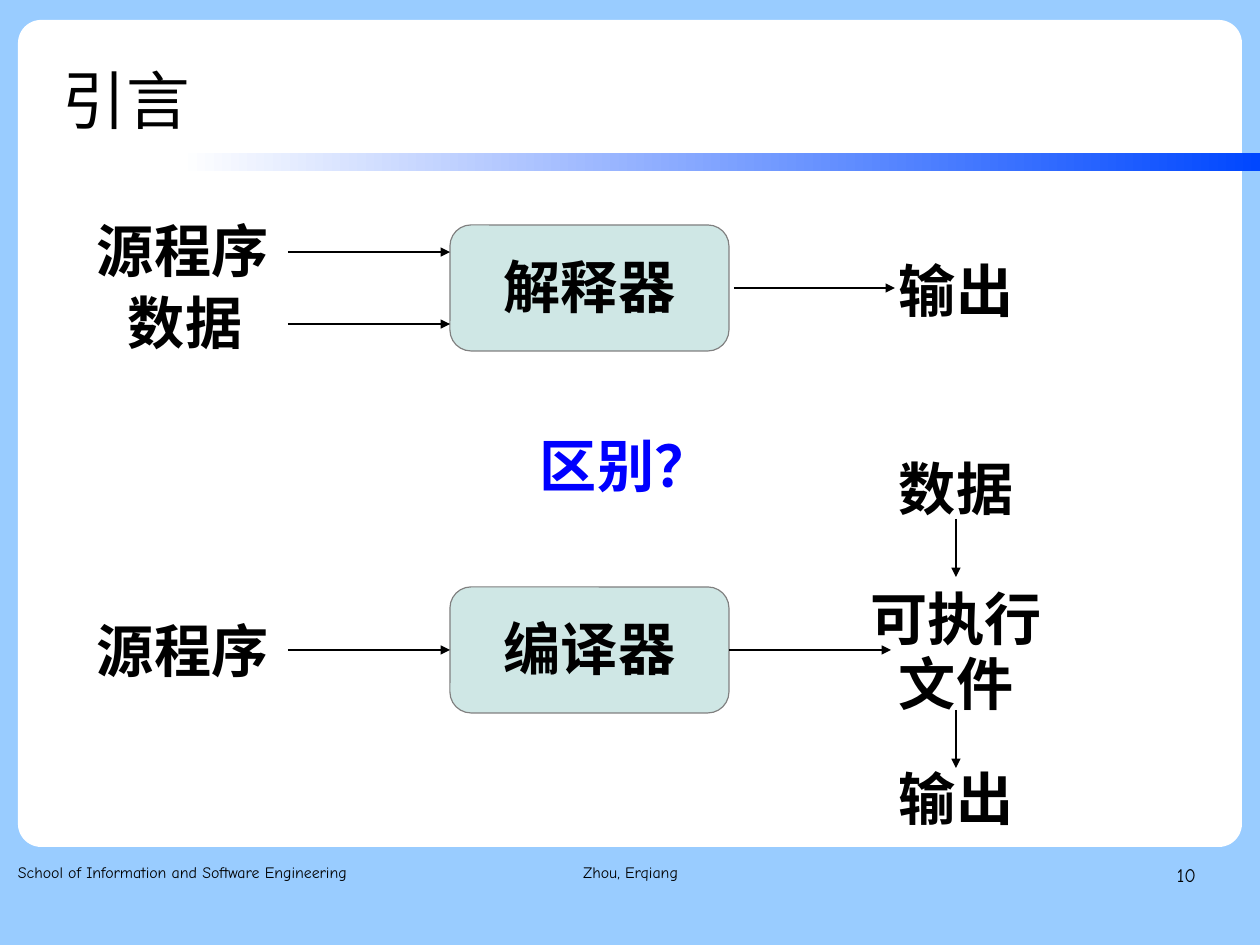
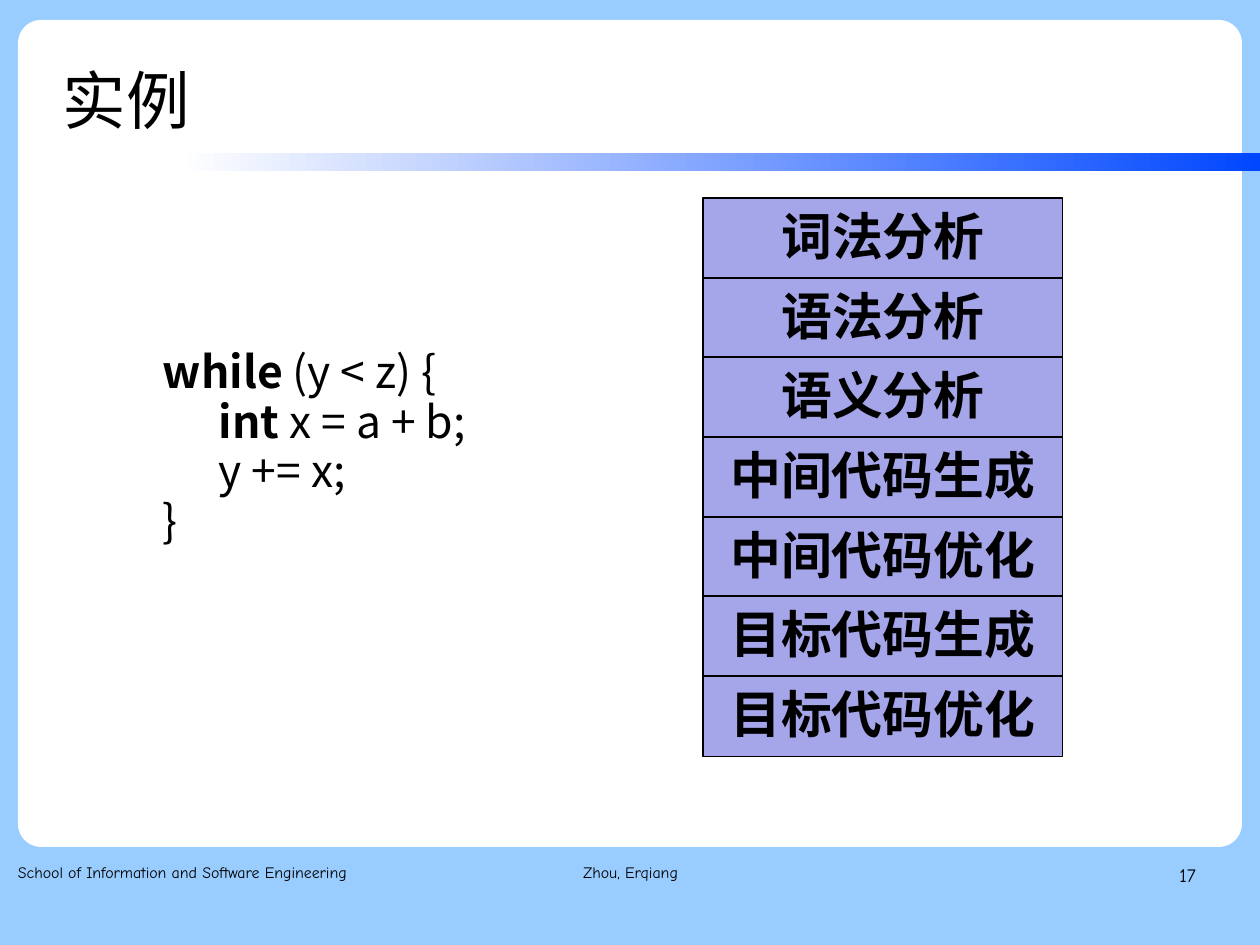
import lxml.etree
import pptx
import pptx.dml.color
import pptx.enum.shapes
import pptx.enum.text
import pptx.oxml.ns
import pptx.util

PX = 8000
HUES = {"sky": "99CCFF", "white": "FFFFFF", "blue": "0047FF", "black": "000000",
        "mint": "CFE7E5", "grey": "808080", "lilac": "A5A5E9", "query": "0000FF"}
HUES = {name: pptx.dml.color.RGBColor.from_string(code) for name, code in HUES.items()}
SANS = "Noto Sans CJK SC"
COMIC = "Comic Neue"
PAD = (11, 8, 11, 6)
EVEN = (11, 6, 11, 6)
FLUSH = (0, 0, 0, 0)
KIND = pptx.enum.shapes.MSO_SHAPE
LINK = pptx.enum.shapes.MSO_CONNECTOR.STRAIGHT
ALIGN = pptx.enum.text.PP_ALIGN
MIDDLE = pptx.enum.text.MSO_ANCHOR.MIDDLE
qn = pptx.oxml.ns.qn


def write(shape, lines, size, face=SANS, bold=False, hue="black", align=ALIGN.LEFT,
          lead=0.95, pad=PAD, wrap=False, anchor=None):
    frame = shape.text_frame
    frame.word_wrap = wrap
    frame.margin_left, frame.margin_top, frame.margin_right, frame.margin_bottom = [
        side * PX for side in pad]
    if anchor is not None:
        frame.vertical_anchor = anchor
    frame.text = "\n".join(lines)
    for para in frame.paragraphs:
        para.alignment = align
        para.line_spacing = lead
        para.font.size = pptx.util.Pt(size)
        para.font.bold = bold
        para.font.color.rgb = HUES[hue]
        para.font.name = face
        props = para._p.pPr.find(qn("a:defRPr"))
        lxml.etree.SubElement(props, qn("a:ea"), typeface=SANS)


def block(slide, kind, box, fill, edge=None):
    shape = slide.shapes.add_shape(kind, *[n * PX for n in box])
    shape.shadow.inherit = False
    if fill:
        shape.fill.solid()
        shape.fill.fore_color.rgb = HUES[fill]
    if edge:
        shape.line.color.rgb = HUES[edge]
        shape.line.width = pptx.util.Pt(0.75)
    else:
        shape.line.fill.background()
    return shape


deck = pptx.Presentation()
deck.slide_width = 1260 * PX
deck.slide_height = 945 * PX

slides = []
for title, page in [("引言", "10"), ("实例", "17")]:
    slide = deck.slides.add_slide(deck.slide_layouts[6])
    slides.append(slide)
    slide.background.fill.solid()
    slide.background.fill.fore_color.rgb = HUES["sky"]
    panel = block(slide, KIND.ROUNDED_RECTANGLE, (18, 20, 1224, 827), "white")
    panel.adjustments[0] = 0.028
    band = block(slide, KIND.RECTANGLE, (180, 153, 1080, 18), None)
    band.fill.gradient()
    band.fill.gradient_angle = 0
    for stop, hue in zip(band.fill.gradient_stops, ["white", "blue"]):
        stop.color.rgb = HUES[hue]
    head = slide.shapes.add_textbox(63 * PX, 38 * PX, 981 * PX, 115 * PX)
    write(head, [title], 40, "Arial", lead=1.1, pad=FLUSH, wrap=True, anchor=MIDDLE)
    for left, width, words, size, align in [
            (18, 386, "School of Information and Software Engineering", 10, ALIGN.LEFT),
            (431, 399, "Zhou, Erqiang", 10, ALIGN.CENTER),
            (903, 293, page, 12, ALIGN.RIGHT)]:
        foot = slide.shapes.add_textbox(left * PX, 860 * PX, width * PX, 65 * PX)
        write(foot, [words], size, COMIC, align=align, lead=1.16, pad=FLUSH, wrap=True)

intro, sample = slides

tools = []
for top, name in [(225, "解释器"), (587, "编译器")]:
    tool = block(intro, KIND.FLOWCHART_ALTERNATE_PROCESS, (450, top, 279, 126), "mint", "grey")
    write(tool, [name], 36, bold=True, align=ALIGN.CENTER, anchor=MIDDLE)
    tools.append(tool)

for left, top, width, height, lines, hue in [
        (86, 212, 194, 77, ["源程序"], "black"),
        (117, 284, 137, 77, ["数据"], "black"),
        (888, 252, 137, 77, ["输出"], "black"),
        (86, 612, 194, 77, ["源程序"], "black"),
        (888, 450, 137, 77, ["数据"], "black"),
        (859, 580, 194, 142, ["可执行", "文件"], "black"),
        (888, 760, 137, 77, ["输出"], "black"),
        (529, 427, 195, 77, ["区别？"], "query")]:
    label = intro.shapes.add_textbox(left * PX, top * PX, width * PX, height * PX)
    align = ALIGN.CENTER if len(lines) > 1 else ALIGN.LEFT
    write(label, lines, 36, bold=True, hue=hue, align=align)

compiler = tools[1]
for ends, start, stop in [
        ((288, 252, 450, 252), None, None),
        ((288, 324, 450, 324), None, None),
        ((734, 288, 895, 288), None, None),
        ((288, 650, 450, 650), None, compiler),
        ((729, 650, 891, 650), compiler, None),
        ((956, 519, 956, 577), None, None),
        ((956, 710, 956, 768), None, None)]:
    arrow = intro.shapes.add_connector(LINK, *[n * PX for n in ends])
    arrow.line.color.rgb = HUES["black"]
    arrow.line.width = pptx.util.Pt(0.75)
    props = arrow._element.spPr
    lxml.etree.SubElement(props.find(qn("a:ln")), qn("a:tailEnd"), type="triangle")
    lxml.etree.SubElement(props, qn("a:effectLst"))
    if start:
        arrow.begin_connect(start, 3)
    if stop:
        arrow.end_connect(stop, 1)

code = sample.shapes.add_textbox(152 * PX, 343 * PX, 394 * PX, 211 * PX)
rows = [("while", " (y < z) {"), ("\t", "int", " x = a + b;"), ("\ty += x;",), ("}",)]
write(code, [""] * len(rows), 28, lead=0.93, pad=EVEN)
code.text_frame.auto_size = pptx.enum.text.MSO_AUTO_SIZE.SHAPE_TO_FIT_TEXT
for para, row in zip(code.text_frame.paragraphs, rows):
    if row[0].startswith("\t"):
        tabs = lxml.etree.Element(qn("a:tabLst"))
        lxml.etree.SubElement(tabs, qn("a:tab"), pos=str(56 * PX), algn="l")
        para._p.pPr.find(qn("a:defRPr")).addprevious(tabs)
    for words in row:
        run = para.add_run()
        run.text = words
        if words in ("while", "int"):
            run.font.bold = True

steps = ["词法分析", "语法分析", "语义分析", "中间代码生成",
         "中间代码优化", "目标代码生成", "目标代码优化"]
for rank, step in enumerate(steps):
    top = 198 + round(rank * 478 / 6)
    cell = block(sample, KIND.RECTANGLE, (703, top, 360, 81), "lilac", "black")
    write(cell, [step], 32, bold=True, align=ALIGN.CENTER, lead=0.93,
          pad=EVEN, wrap=True, anchor=MIDDLE)

deck.save("out.pptx")
